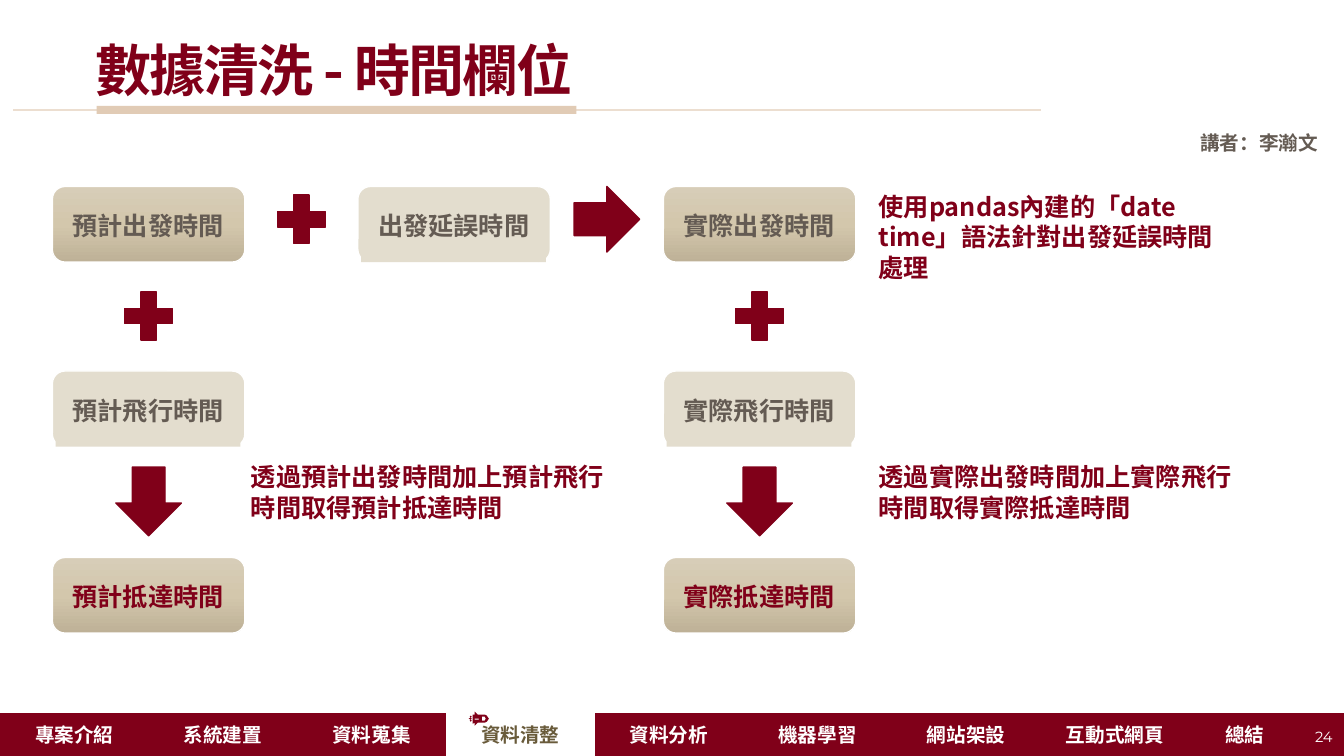
from copy import deepcopy

from lxml.etree import SubElement
from pptx import Presentation
from pptx.dml.color import RGBColor
from pptx.enum.shapes import MSO_CONNECTOR, MSO_SHAPE
from pptx.enum.text import MSO_ANCHOR, PP_ALIGN
from pptx.oxml.ns import qn
from pptx.util import Pt

MAROON = RGBColor(0x80, 0x00, 0x19)
WHITE = RGBColor(0xFF, 0xFF, 0xFF)
OLIVE = RGBColor(0x69, 0x5B, 0x3B)
GREY = RGBColor(0x64, 0x5B, 0x53)
PALE = RGBColor(0xE3, 0xDD, 0xCE)
RULE = RGBColor(0xEC, 0xDE, 0xD0)
TAN = RGBColor(0xE1, 0xCB, 0xB5)
SAND = [RGBColor(0xD7, 0xCD, 0xB8), RGBColor(0xD3, 0xC7, 0xAC), RGBColor(0xBE, 0xB1, 0x97)]
SC, KR, MONTSERRAT = "Noto Sans CJK SC", "Noto Sans CJK KR", "Montserrat"
NO_TABLE_STYLE = "{2D5ABB26-0587-4C30-8999-92F81FD0307C}"

SECTIONS = ["專案介紹", "系統建置", "資料蒐集", "資料清整", "資料分析",
            "機器學習", "網站架設", "互動式網頁", "總結", ""]
CURRENT = "資料清整"
COL_WIDTHS = [106.2] * 8 + [79.2, 31.2]

ROCKET = [
    [(4, 3), (6, 3), (6, 0), (9, 3), (16, 3), (18, 4), (20, 7),
     (18, 10), (16, 11), (9, 11), (6, 14), (6, 11), (4, 12)],
    [(13, 5), (16, 5), (17, 7), (16, 9), (13, 9)],
    [(6, 7), (10, 7), (10, 8), (6, 8)],
    [(0, 7), (2, 6), (3, 7), (2, 8)],
    [(1, 9), (2, 8), (3, 9), (2, 10)],
    [(1, 5), (2, 4), (3, 5), (2, 6)],
]

BOX_W, BOX_H, SIGN = 137.5, 54, 46.8
COL_PITCH = 218.2
ROW_TOPS = [0, 131.8, 265]


def style(p, size, color, name=SC, bold=True, align=None):
    p.alignment = align
    font = p.font
    font.size, font.bold, font.name = Pt(size), bold, name
    font.color.rgb = color
    rpr = p._p.pPr.find(qn("a:defRPr"))
    SubElement(rpr, qn("a:ea")).set("typeface", name)


def add_text(slide, x, y, w, h, text, size, color, anchor=MSO_ANCHOR.TOP, **kw):
    sp = slide.shapes.add_textbox(Pt(x), Pt(y), Pt(w), Pt(h))
    tf = sp.text_frame
    tf.word_wrap = True
    tf.vertical_anchor = anchor
    p = tf.paragraphs[0]
    p.text = text
    style(p, size, color, **kw)
    return sp


def add_solid(slide, kind, x, y, w, h, fill, line=None):
    sp = slide.shapes.add_shape(kind, Pt(x), Pt(y), Pt(w), Pt(h))
    sp.shadow.inherit = False
    sp.fill.solid()
    sp.fill.fore_color.rgb = fill
    if line is None:
        sp.line.fill.background()
    else:
        sp.line.color.rgb = line
        sp.line.width = Pt(1)
    return sp


def add_rocket(slide, x, y):
    start, *rest = ROCKET[0]
    fb = slide.shapes.build_freeform(*start, scale=Pt(0.72))
    fb.add_line_segments(rest, close=True)
    for start, *rest in ROCKET[1:]:
        fb.move_to(*start)
        fb.add_line_segments(rest, close=True)
    sp = fb.convert_to_shape(Pt(x), Pt(y))
    sp.shadow.inherit = False
    sp.fill.solid()
    sp.fill.fore_color.rgb = MAROON
    sp.line.fill.background()


def add_navigation(slide, x, y, w, h):
    frame = slide.shapes.add_table(1, len(SECTIONS), Pt(x), Pt(y), Pt(w), Pt(h))
    next(frame.element.iter(qn("a:tableStyleId"))).text = NO_TABLE_STYLE
    table = frame.table
    for i, (name, width) in enumerate(zip(SECTIONS, COL_WIDTHS)):
        table.columns[i].width = Pt(width)
        cell = table.cell(0, i)
        cell.fill.solid()
        cell.fill.fore_color.rgb = WHITE if name == CURRENT else MAROON
        cell.vertical_anchor = MSO_ANCHOR.MIDDLE
        p = cell.text_frame.paragraphs[0]
        p.text = name
        style(p, 14, OLIVE if name == CURRENT else WHITE, align=PP_ALIGN.CENTER)
    add_rocket(slide, x + 334.8, y - 0.7)
    add_text(slide, x + w - 45.6, y + 1.5, 44.6, 31.7, "24", 10.5, WHITE,
             MSO_ANCHOR.MIDDLE, name=MONTSERRAT, bold=False, align=PP_ALIGN.RIGHT)


def add_header(slide, x, y, w):
    title = add_text(slide, x + 61.2, y + 20.2, 742.3, 64.8, "數據清洗 - 時間欄位",
                     40, MAROON, MSO_ANCHOR.MIDDLE)
    p = title.text_frame.paragraphs[0]
    p.line_spacing = 0.9
    p._p.pPr.find(qn("a:defRPr")).set("spc", "-150")
    line = slide.shapes.add_connector(MSO_CONNECTOR.STRAIGHT, Pt(x + 9.4), Pt(y + 78.5),
                                      Pt(x + 743.8), Pt(y + 78.5))
    line.line.color.rgb = RULE
    line.line.width = Pt(1.5)
    SubElement(line.element.spPr, qn("a:effectLst"))
    add_solid(slide, MSO_SHAPE.RECTANGLE, x + 69.1, y + 75.6, 342.7, 5.8, TAN)
    add_text(slide, x + w - 109.7, y + 90, 103, 24.5, "講者：李瀚文", 14, GREY)


def add_step(slide, x, y, text, dark, color=GREY):
    sp = add_solid(slide, MSO_SHAPE.ROUNDED_RECTANGLE, x, y, BOX_W, BOX_H, PALE, WHITE)
    label = add_text(slide, x + 2.4, y + 5, 132, 49, text, 18, color,
                     MSO_ANCHOR.MIDDLE, name=KR, align=PP_ALIGN.CENTER)
    label.text_frame.paragraphs[0].line_spacing = 0.9
    if dark:
        sp.fill.gradient()
        sp.fill.gradient_angle = 270
        last = next(sp.element.iter(qn("a:gsLst")))[-1]
        last.addprevious(deepcopy(last))
        for i, (stop, rgb) in enumerate(zip(sp.fill.gradient_stops, SAND)):
            stop.color.rgb = rgb
            stop.position = i / 2
    else:
        label.fill.solid()
        label.fill.fore_color.rgb = PALE


def add_sign(slide, kind, cx, cy, w=SIGN, rotation=0):
    sp = add_solid(slide, kind, cx - w / 2, cy - SIGN / 2, w, SIGN, MAROON, MAROON)
    sp.rotation = rotation


def add_chain(slide, x, y, prefix):
    cx = x + BOX_W / 2
    add_step(slide, x, y + ROW_TOPS[0], prefix + "出發時間", True)
    add_sign(slide, MSO_SHAPE.MATH_PLUS, cx, y + 92.5)
    add_step(slide, x, y + ROW_TOPS[1], prefix + "飛行時間", False)
    add_sign(slide, MSO_SHAPE.RIGHT_ARROW, cx, y + 225, w=49, rotation=90)
    add_step(slide, x, y + ROW_TOPS[2], prefix + "抵達時間", True, MAROON)


def add_note(slide, x, y, text):
    add_text(slide, x, y, 269.3, 64.8, text, 18, MAROON)


def add_flow(slide, x, y):
    for i, prefix in enumerate(["預計", "實際"]):
        left = x + 2 * COL_PITCH * i
        add_chain(slide, left, y, prefix)
        add_note(slide, left + (134.7, 146.8)[i], y + 193,
                 f"透過{prefix}出發時間加上{prefix}飛行時間取得{prefix}抵達時間")
    add_step(slide, x + COL_PITCH, y, "出發延誤時間", False)
    for i, kind in enumerate([MSO_SHAPE.MATH_PLUS, MSO_SHAPE.RIGHT_ARROW]):
        add_sign(slide, kind, x + BOX_W / 2 + COL_PITCH * (i + 0.5), y + SIGN / 2)
    add_note(slide, x + 2 * COL_PITCH + 146.8, y,
             "使用pandas內建的「date time」語法針對出發延誤時間處理")


def main():
    prs = Presentation()
    prs.slide_width, prs.slide_height = Pt(960), Pt(540)
    slide = prs.slides.add_slide(prs.slide_layouts[6])
    add_navigation(slide, 0, 509, 960, 31)
    add_header(slide, 0, 0, 960)
    add_flow(slide, 37.4, 133.2)
    prs.save("out.pptx")


if __name__ == "__main__":
    main()
